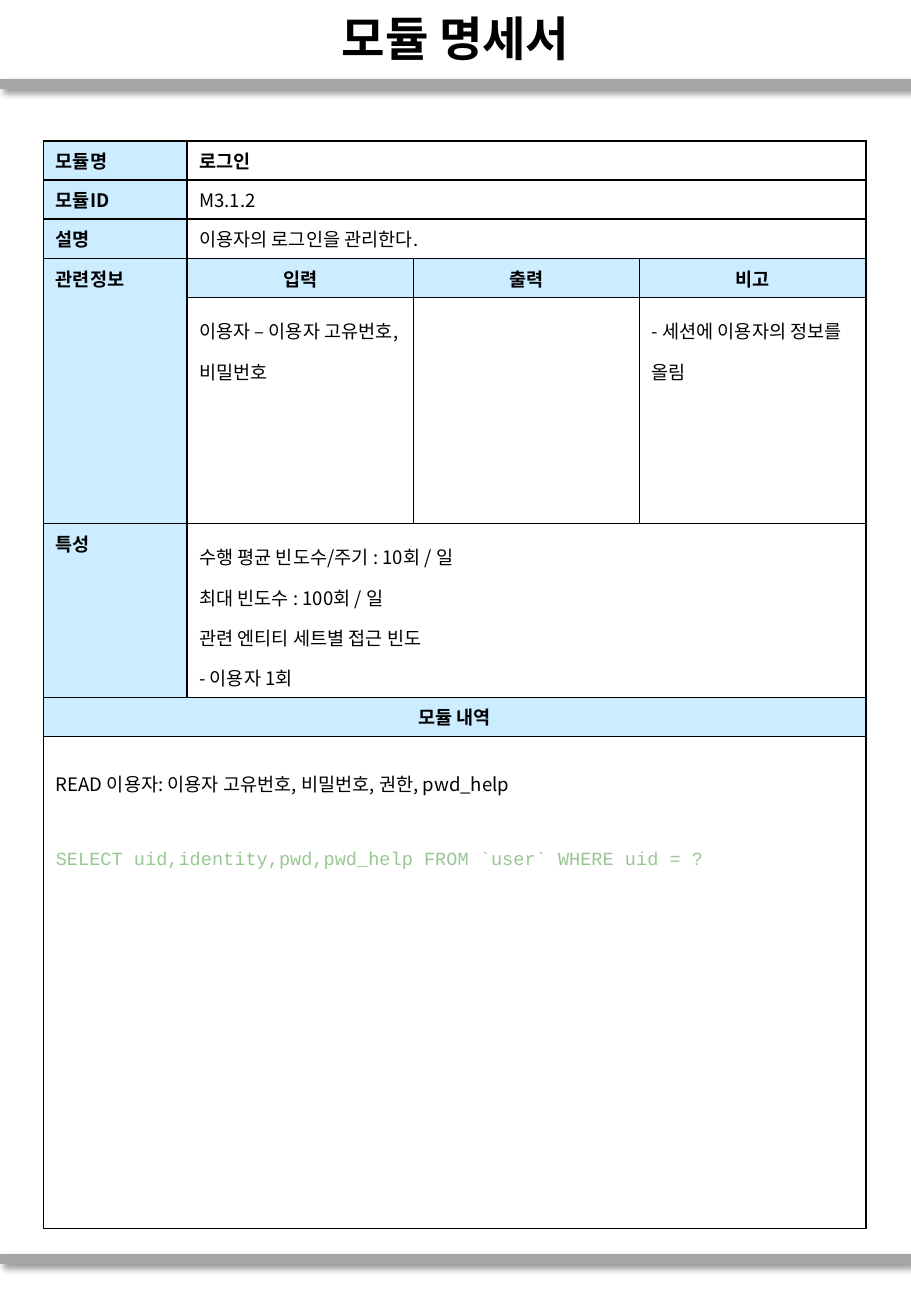
from dataclasses import dataclass

from lxml.etree import SubElement
from pptx import Presentation
from pptx.dml.color import RGBColor
from pptx.enum.shapes import MSO_CONNECTOR as Connector
from pptx.enum.text import MSO_ANCHOR as Anchor, PP_ALIGN as Align
from pptx.oxml import parse_xml
from pptx.oxml.ns import nsdecls, qn
from pptx.util import Inches, Pt


@dataclass(frozen=True)
class Theme:
    font: str = "Noto Sans CJK KR"
    code_font: str = "Courier New"
    ink: str = "000000"
    label_fill: str = "CCECFF"
    paper: str = "FFFFFF"
    rule: str = "A6A6A6"
    code: str = "99C794"
    title_size: int = 28
    body_size: int = 11
    rule_width: int = 6
    border_width: int = 1


class SpecSheet:
    def __init__(self, slide, theme):
        self.slide = slide
        self.theme = theme

    def style(self, paragraph, size, bold=False, code=False):
        theme = self.theme
        font = paragraph.font
        font.size = Pt(size)
        font.bold = bold
        font.name = theme.code_font if code else theme.font
        font.color.rgb = RGBColor.from_string(theme.code if code else theme.ink)
        # East Asian glyphs take their own typeface element
        defaults = paragraph._p.pPr.find(qn("a:defRPr"))
        SubElement(defaults, qn("a:ea")).set("typeface", font.name)

    def title(self, text, left, top, width, height):
        title = self.slide.shapes.title
        title.left, title.top = Inches(left), Inches(top)
        title.width, title.height = Inches(width), Inches(height)
        title.text_frame.text = text
        title.text_frame.vertical_anchor = Anchor.MIDDLE
        heading = title.text_frame.paragraphs[0]
        heading.alignment = Align.CENTER
        self.style(heading, self.theme.title_size, bold=True)

    def rule(self, y, width):
        rule = self.slide.shapes.add_connector(
            Connector.STRAIGHT, 0, Inches(y), Inches(width), Inches(y))
        rule.line.width = Pt(self.theme.rule_width)
        rule.line.color.rgb = RGBColor.from_string(self.theme.rule)
        rule._element.spPr.append(parse_xml(
            f'<a:effectLst {nsdecls("a")}>'
            f'<a:outerShdw blurRad="{Pt(4)}" dist="{Pt(3)}" dir="2700000" '
            f'algn="tl" rotWithShape="0"><a:srgbClr val="{self.theme.ink}">'
            '<a:alpha val="40000"/></a:srgbClr></a:outerShdw></a:effectLst>'))

    def table(self, left, top, columns, rows):
        table = self.slide.shapes.add_table(
            len(rows), len(columns), Inches(left), Inches(top),
            Inches(sum(columns)), Inches(sum(rows))).table
        table.first_row = table.horz_banding = False
        for column, width in zip(table.columns, columns):
            column.width = Inches(width)
        for row, height in zip(table.rows, rows):
            row.height = Inches(height)
        for cell in table.iter_cells():
            self.border(cell)
            self.fill(cell, self.theme.paper)
        return table

    def fill(self, cell, color):
        cell.fill.solid()
        cell.fill.fore_color.rgb = RGBColor.from_string(color)

    def border(self, cell):
        properties = cell._tc.get_or_add_tcPr()
        for side in ("lnL", "lnR", "lnT", "lnB"):
            properties.append(parse_xml(
                f'<a:{side} {nsdecls("a")} w="{Pt(self.theme.border_width)}">'
                f'<a:solidFill><a:srgbClr val="{self.theme.ink}"/></a:solidFill>'
                f'</a:{side}>'))

    def label(self, cell, text, centered=False):
        self.fill(cell, self.theme.label_fill)
        self.body(cell, [text], bold=True)
        if centered:
            cell.text_frame.paragraphs[0].alignment = Align.CENTER

    def body(self, cell, lines, bold=False, spacing=None):
        cell.text_frame.text = "\n".join(lines)
        for paragraph in cell.text_frame.paragraphs:
            paragraph.line_spacing = spacing
            self.style(paragraph, self.theme.body_size, bold)

    def code_line(self, cell, text, gap):
        cell.text_frame.paragraphs[-1].space_after = Pt(gap)
        statement = cell.text_frame.add_paragraph()
        statement.text = text
        self.style(statement, self.theme.body_size, code=True)


def main():
    page_width, page_height = 7.5, 10.83
    deck = Presentation()
    deck.slide_width, deck.slide_height = Inches(page_width), Inches(page_height)
    sheet = SpecSheet(deck.slides.add_slide(deck.slide_layouts[5]), Theme())

    # Heading and page rules
    for y in (0.69, 10.36):
        sheet.rule(y, page_width)
    sheet.title("모듈 명세서", 0, 0.01, page_width, 0.6)

    # Table grid: one label column, three equal detail columns
    label_width, table_width, line_height = 1.18, 6.77, 0.32
    detail_width = (table_width - label_width) / 3
    module = sheet.table(
        0.36, 1.16, [label_width] + [detail_width] * 3,
        [line_height] * 4 + [1.86, 1.43, line_height, 4.05])
    for row in (0, 1, 2, 5):
        module.cell(row, 1).merge(module.cell(row, 3))
    for row in (6, 7):
        module.cell(row, 0).merge(module.cell(row, 3))
    module.cell(3, 0).merge(module.cell(4, 0))

    # Row labels
    for row, name in {0: "모듈명", 1: "모듈ID", 2: "설명",
                      3: "관련정보", 5: "특성"}.items():
        sheet.label(module.cell(row, 0), name)

    # Identification
    identity = ["로그인", "M3.1.2", "이용자의 로그인을 관리한다."]
    for row, value in enumerate(identity):
        sheet.body(module.cell(row, 1), [value], bold=row == 0)

    # Related information
    related = [("입력", "이용자 – 이용자 고유번호, 비밀번호"),
               ("출력", ""),
               ("비고", "- 세션에 이용자의 정보를 올림")]
    for column, (heading, detail) in enumerate(related, start=1):
        sheet.label(module.cell(3, column), heading, centered=True)
        sheet.body(module.cell(4, column), [detail], spacing=1.5)

    # Characteristics
    sheet.body(module.cell(5, 1), [
        "수행 평균 빈도수/주기 : 10회 / 일",
        "최대 빈도수 : 100회 / 일",
        "관련 엔티티 세트별 접근 빈도",
        "- 이용자 1회"], spacing=1.5)

    # Module details
    sheet.label(module.cell(6, 0), "모듈 내역", centered=True)
    details = module.cell(7, 0)
    sheet.body(details, ["READ 이용자: 이용자 고유번호, 비밀번호, 권한, pwd_help"],
               spacing=2.0)
    sheet.code_line(
        details, "SELECT uid,identity,pwd,pwd_help FROM `user` WHERE uid = ?", gap=32)

    deck.save("out.pptx")


if __name__ == "__main__":
    main()
